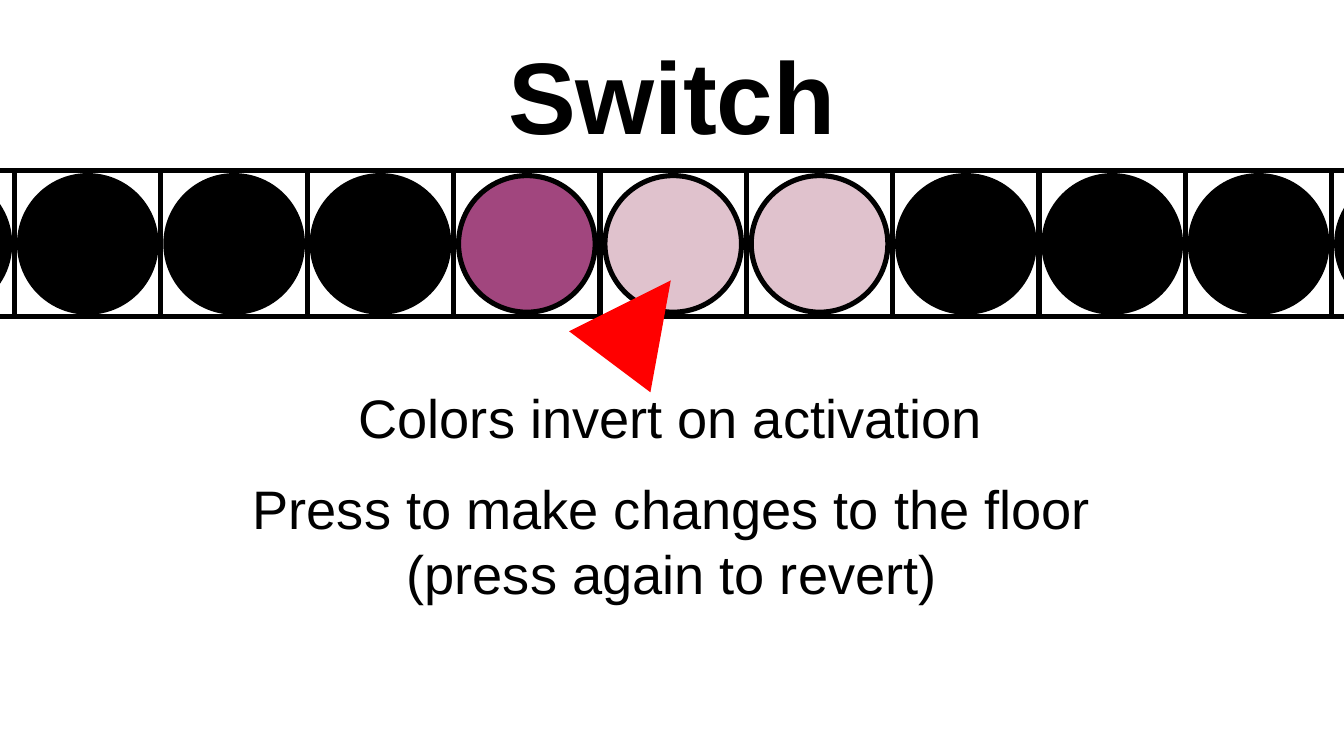
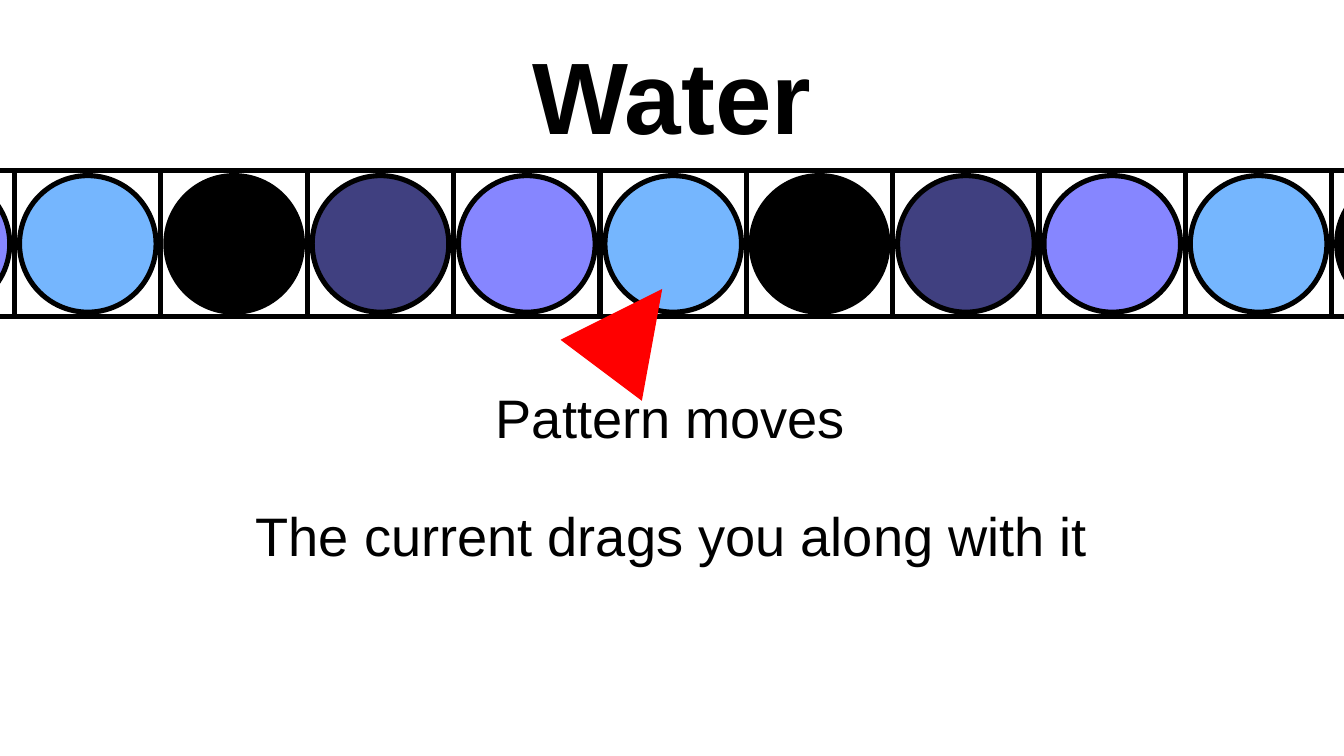
from lxml.etree import SubElement
from pptx import Presentation
from pptx.dml.color import RGBColor
from pptx.enum.shapes import MSO_CONNECTOR, MSO_SHAPE
from pptx.enum.text import MSO_ANCHOR, MSO_AUTO_SIZE, PP_ALIGN
from pptx.oxml.ns import qn
from pptx.util import Inches, Pt

FONT = "Arial"
BLACK, WHITE, RED = "000000", "FFFFFF", "FF0000"
PURPLE, PINK = "A1467E", "E0C2CD"
VIOLET, SKY, NAVY = "8686FF", "75B6FE", "404080"

SLIDES = [
    {
        "title": "Switch",
        "caption": "Colors invert on activation",
        "body": ["Press to make changes to the floor", "(press again to revert)"],
        "body_top": 2.63,
        "lights": [BLACK] * 4 + [PURPLE, PINK, PINK] + [BLACK] * 4,
        "pointer_tip": (5.5, 2.3),
    },
    {
        "title": "Water",
        "caption": "Pattern moves",
        "body": ["The current drags you along with it"],
        "body_top": 2.59,
        "lights": ([VIOLET, SKY, BLACK, NAVY] * 3)[:11],
        "pointer_tip": (5.43, 2.37),
    },
]

WIDTH, HEIGHT = 11.02, 6.2
MARGIN = 0.55
CONTENT_WIDTH = WIDTH - 2 * MARGIN
CELL, INSET = 1.2, 0.04
STRIP_LEFT, STRIP_TOP = -1.08, 1.4
POINTER_RUN, POINTER_RISE = 0.45, 0.6


def color(value):
    return RGBColor.from_string(value)


def place(sp, left, top, width, height):
    sp.left, sp.top, sp.width, sp.height = map(Inches, (left, top, width, height))


def write(sp, lines, size, bold=False, anchor=MSO_ANCHOR.MIDDLE, insets=(0, 0)):
    """Fill a text frame with centred paragraphs; insets are (side, top/bottom)."""
    tf = sp.text_frame
    tf.word_wrap = True
    tf.auto_size = MSO_AUTO_SIZE.NONE
    tf.vertical_anchor = anchor
    tf.margin_left = tf.margin_right = Inches(insets[0])
    tf.margin_top = tf.margin_bottom = Inches(insets[1])
    tf.text = "\n".join(lines)
    for p in tf.paragraphs:
        p.alignment = PP_ALIGN.CENTER
        p.space_before = Pt(0)
        for r in p.runs:
            r.font.name, r.font.size, r.font.bold = FONT, Pt(size), bold
            r.font.color.rgb = color(BLACK)


def add_outlined(slide, kind, left, top, size, fill):
    sp = slide.shapes.add_shape(kind, *map(Inches, (left, top, size, size)))
    sp.shadow.inherit = False
    sp.fill.solid()
    sp.fill.fore_color.rgb = color(fill)
    sp.line.color.rgb = color(BLACK)
    sp.line.width = Pt(3)


def add_strip(slide, lights):
    for i, light in enumerate(lights):
        left = STRIP_LEFT + i * CELL
        add_outlined(slide, MSO_SHAPE.RECTANGLE, left, STRIP_TOP, CELL, WHITE)
        add_outlined(slide, MSO_SHAPE.OVAL, left + INSET, STRIP_TOP + INSET,
                     CELL - 2 * INSET, light)


def add_pointer(slide, x, y):
    line = slide.shapes.add_connector(
        MSO_CONNECTOR.STRAIGHT,
        *map(Inches, (x - POINTER_RUN, y + POINTER_RISE, x, y)))
    line.line.color.rgb = color(RED)
    line.line.width = Pt(20)
    SubElement(line.line._get_or_add_ln(), qn("a:tailEnd"), type="triangle")
    SubElement(line._element.spPr, qn("a:effectLst"))


def build_slide(prs, content):
    slide = prs.slides.add_slide(prs.slide_layouts[0])
    title, body = slide.placeholders
    place(title, MARGIN, 0.25, CONTENT_WIDTH, 1.04)
    write(title, [content["title"]], 60, bold=True)
    place(body, MARGIN, content["body_top"], CONTENT_WIDTH, 3.6)
    write(body, content["body"], 32)
    add_strip(slide, content["lights"])
    add_pointer(slide, *content["pointer_tip"])
    caption = slide.shapes.add_textbox(*map(Inches, (2.8, 3.1, 5.4, 0.6)))
    write(caption, [content["caption"]], 32, anchor=MSO_ANCHOR.TOP, insets=(0.1, 0.05))


def main():
    prs = Presentation()
    prs.slide_width, prs.slide_height = Inches(WIDTH), Inches(HEIGHT)
    for content in SLIDES:
        build_slide(prs, content)
    prs.save("out.pptx")


if __name__ == "__main__":
    main()
